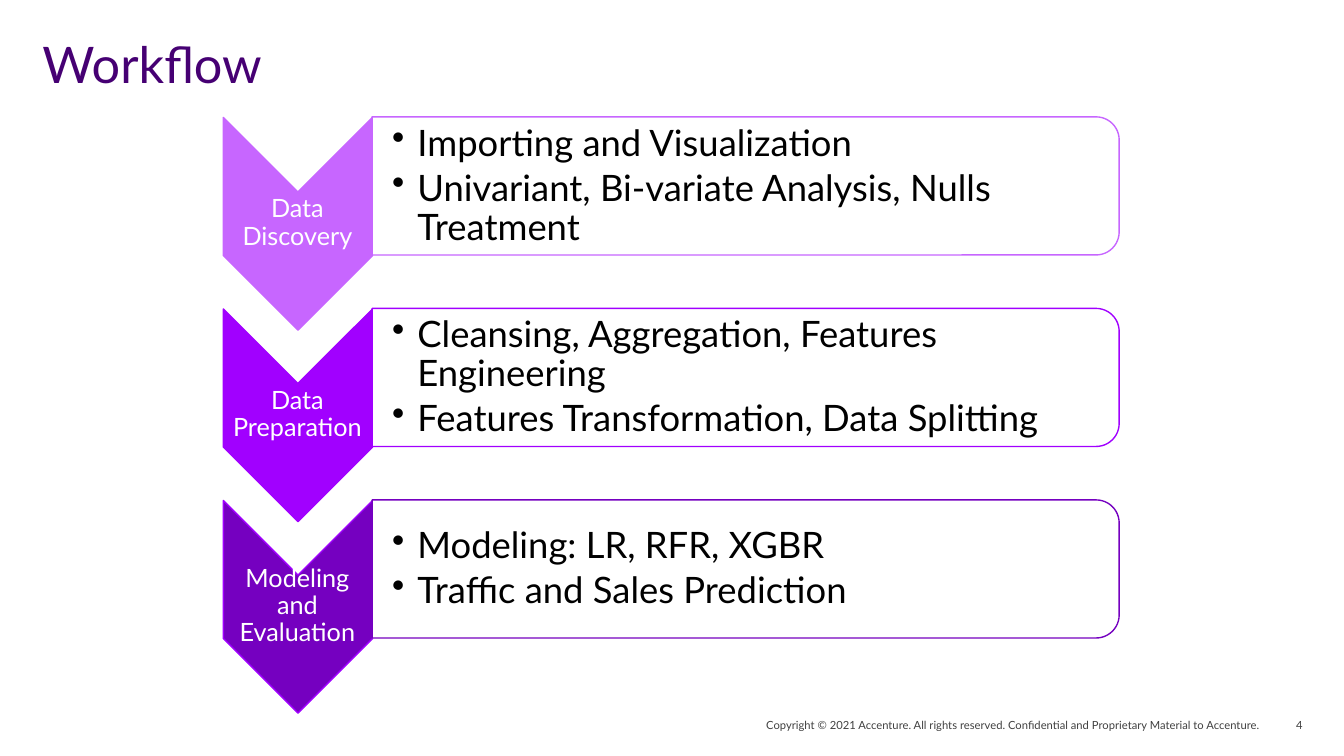
from lxml import etree
from pptx import Presentation
from pptx.dml.color import RGBColor
from pptx.enum import shapes, text
from pptx.oxml.ns import qn
from pptx.util import Inches, Pt

FONT = "Lato"
WHITE = RGBColor(0xFF, 0xFF, 0xFF)
BLACK = RGBColor(0x00, 0x00, 0x00)
GREY = RGBColor(0x40, 0x40, 0x40)
INDIGO = RGBColor(0x46, 0x00, 0x73)
LILAC = RGBColor(0xC7, 0x66, 0xFF)
PURPLE = RGBColor(0xA1, 0x00, 0xFF)
VIOLET = RGBColor(0x75, 0x00, 0xC0)

STAGE_PITCH = 1.9
# label, chevron fill, chevron line, panel line, bullet lines
STAGES = [
    ("Data Discovery", LILAC, LILAC, LILAC,
     ["Importing and Visualization",
      "Univariant, Bi-variate Analysis, Nulls Treatment"]),
    ("Data Preparation", PURPLE, PURPLE, PURPLE,
     ["Cleansing, Aggregation, Features Engineering",
      "Features Transformation, Data Splitting"]),
    ("Modeling and Evaluation", VIOLET, PURPLE, VIOLET,
     ["Modeling: LR, RFR, XGBR",
      "Traffic and Sales Prediction"]),
]

presentation = Presentation()
presentation.slide_width = Inches(13.33)
presentation.slide_height = Inches(7.5)
slide = presentation.slides.add_slide(presentation.slide_layouts[5])


def write_text(shape, lines, size, color, align, spacing=1.0, margins=(0, 0, 0, 0),
               anchor=text.MSO_ANCHOR.MIDDLE, bulleted=False):
    """Fill the shape's text frame; margins run left, top, right, bottom."""
    frame = shape.text_frame
    frame.word_wrap = True
    frame.auto_size = text.MSO_AUTO_SIZE.NONE
    frame.vertical_anchor = anchor
    (frame.margin_left, frame.margin_top,
     frame.margin_right, frame.margin_bottom) = [Inches(margin) for margin in margins]
    for index, line in enumerate(lines):
        paragraph = frame.add_paragraph() if index else frame.paragraphs[0]
        paragraph.alignment = align
        paragraph.line_spacing = spacing
        if bulleted:
            paragraph.space_after = Pt(4)
            properties = paragraph._p.get_or_add_pPr()
            properties.set("marL", str(Inches(0.25)))
            properties.set("indent", str(Inches(-0.25)))
            etree.SubElement(properties, qn("a:buChar"), char="•")
        run = paragraph.add_run()
        run.text = line
        run.font.name = FONT
        run.font.size = Pt(size)
        run.font.color.rgb = color


def add_turned_shape(preset, left, top, width, height, fill, line):
    shape = slide.shapes.add_shape(
        preset, Inches(left), Inches(top), Inches(width), Inches(height))
    shape.rotation = 90
    shape.shadow.inherit = False
    shape.fill.solid()
    shape.fill.fore_color.rgb = fill
    shape.line.color.rgb = line
    shape.line.width = Pt(1)


title = slide.shapes.title
title.left, title.top = Inches(0.42), Inches(0.42)
title.width, title.height = Inches(12.48), Inches(0.41)
write_text(title, ["Workflow"], 36, INDIGO, text.PP_ALIGN.LEFT, 0.85,
           anchor=text.MSO_ANCHOR.TOP)

for index, (label, chevron_fill, chevron_line, panel_line, bullets) in enumerate(STAGES):
    offset = index * STAGE_PITCH
    add_turned_shape(shapes.MSO_SHAPE.CHEVRON, 1.9, 1.48 + offset, 2.11, 1.48,
                     chevron_fill, chevron_line)
    label_box = slide.shapes.add_textbox(
        Inches(2.21), Inches(1.9 + offset), Inches(1.48), Inches(0.63))
    write_text(label_box, [label], 18, WHITE, text.PP_ALIGN.CENTER, 0.9, (0.01,) * 4)

    add_turned_shape(shapes.MSO_SHAPE.ROUND_2_SAME_RECTANGLE, 6.71, -1.86 + offset,
                     1.37, 7.41, WHITE, panel_line)
    bullet_box = slide.shapes.add_textbox(
        Inches(3.69), Inches(1.23 + offset), Inches(7.34), Inches(1.24))
    write_text(bullet_box, bullets, 26, BLACK, text.PP_ALIGN.LEFT, 0.9,
               (0.2, 0.02, 0.02, 0.02), bulleted=True)

for left, width, footer in [
    (6.5, 6, "Copyright © 2021 Accenture. All rights reserved. "
             "Confidential and Proprietary Material to Accenture."),
    (12.5, 0.42, "4"),
]:
    footer_box = slide.shapes.add_textbox(
        Inches(left), Inches(7.08), Inches(width), Inches(0.23))
    write_text(footer_box, [footer], 8, GREY, text.PP_ALIGN.RIGHT)

presentation.save("out.pptx")
